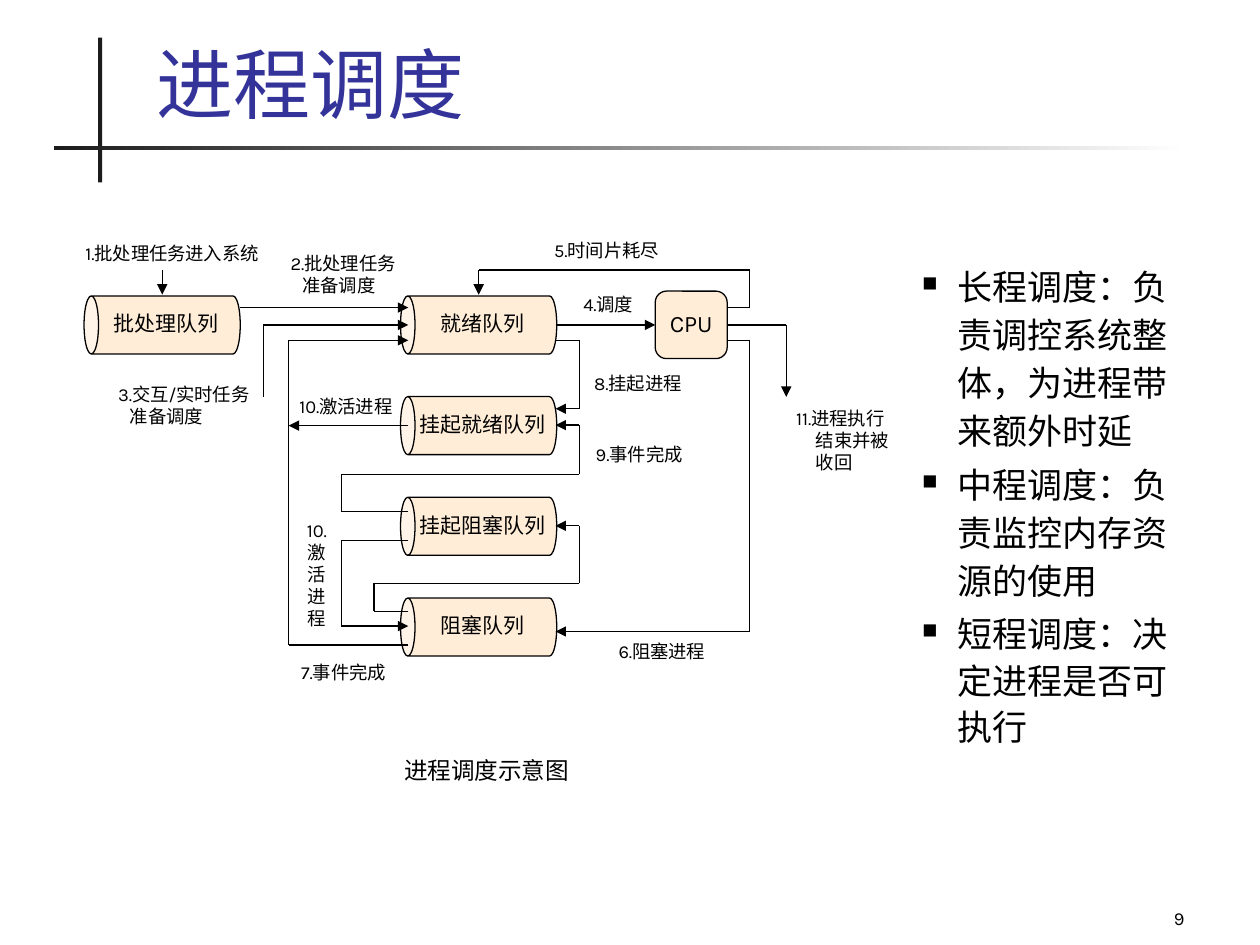
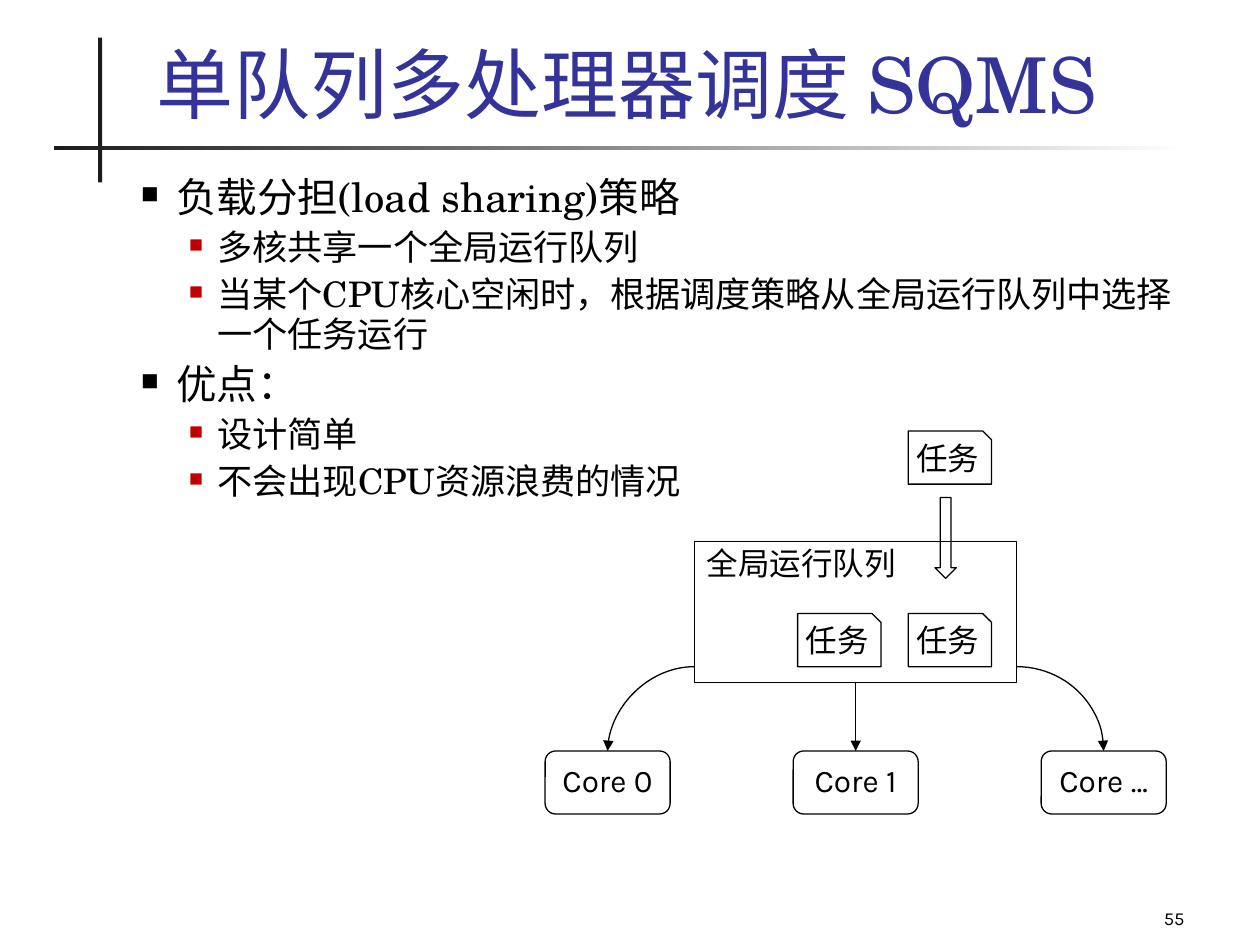
from itertools import pairwise

from lxml.etree import SubElement
from pptx import Presentation
from pptx.dml.color import RGBColor
from pptx.enum.shapes import MSO_CONNECTOR as LINE, MSO_SHAPE as SHAPE
from pptx.enum.text import MSO_ANCHOR as ANCHOR, PP_ALIGN as ALIGN
from pptx.oxml.ns import qn
from pptx.util import Cm, Pt

SANS, SERIF = "Karla", "TeX Gyre Schola"
BLACK, DARK, WHITE = "000000", "1C1C1C", "FFFFFF"
BLUE, RED, CREAM = "333399", "C00000", "FFEDD8"

LEVELS = [
    {"margin": 0.71, "hang": 0.71, "color": BLACK, "percent": 60},
    {"margin": 1.55, "hang": 0.58, "color": RED, "percent": 55},
]

TERMS = [
    (0, "长程调度：负责调控系统整体，为进程带来额外时延", 20, 1.14),
    (0, "中程调度：负责监控内存资源的使用", 20, 1.14),
    (0, "短程调度：决定进程是否可执行", 20, 1.1),
]
SQMS = [
    (0, "负载分担(load sharing)策略", 23.2, 0.94),
    (1, "多核共享一个全局运行队列", 20.1, 0.94),
    (1, "当某个CPU核心空闲时，根据调度策略从全局运行队列中选择一个任务运行", 20.1, 0.94),
    (0, "优点：", 23.2, 0.94),
    (1, "设计简单", 20.1, 0.94),
    (1, "不会出现CPU资源浪费的情况", 20.1, 0.94),
]

CAN_W, CAN_H = 1.17, 3.15
BATCH_X, QUEUE_X = 3.27, 9.65
READY_Y, QUEUE_STEP = 6.55, 2.03
QUEUES = ["就绪队列", "挂起就绪队列", "挂起阻塞队列", "阻塞队列"]
QUEUE_IN, QUEUE_OUT = 8.23, 11.2
CPU_BOX = (13.21, 5.87, 1.45, 1.36)
CPU_OUT = 14.66
UPPER, LOWER = 6.2, 6.86
BUS, LOOP, SIDE, RETURN = 5.82, 6.88, 11.68, 15.11

ROUTES = [
    [(BATCH_X, 5.44), (BATCH_X, 5.94)],
    [(4.83, UPPER), (QUEUE_IN, UPPER)],
    [(5.31, 8.0), (5.31, READY_Y), (QUEUE_IN, READY_Y)],
    [(QUEUE_IN, 13.0), (BUS, 13.0), (BUS, LOWER), (QUEUE_IN, LOWER)],
    [(QUEUE_IN, 8.58), (BUS, 8.58)],
    [(QUEUE_IN, 10.9), (LOOP, 10.9), (LOOP, 12.62), (QUEUE_IN, 12.62)],
    [(QUEUE_IN, 12.32), (7.54, 12.32), (7.54, 11.76), (SIDE, 11.76),
     (SIDE, 10.6), (QUEUE_OUT, 10.6)],
    [(QUEUE_IN, 10.31), (LOOP, 10.31), (LOOP, 9.56), (SIDE, 9.56),
     (SIDE, 8.57), (QUEUE_OUT, 8.57)],
    [(QUEUE_OUT, LOWER), (SIDE, LOWER), (SIDE, 8.24), (QUEUE_OUT, 8.24)],
    [(CPU_OUT, UPPER), (RETURN, UPPER), (RETURN, 5.44), (QUEUE_X, 5.44),
     (QUEUE_X, 5.94)],
    [(CPU_OUT, LOWER), (RETURN, LOWER), (RETURN, 12.73), (QUEUE_OUT, 12.73)],
]

LABELS = [
    (1.47, 4.75, 4.37, ["1.批处理任务进入系统"], 0, ALIGN.LEFT),
    (5.61, 4.95, 2.69, ["2.批处理任务", "准备调度"], 0.24, ALIGN.LEFT),
    (2.13, 7.59, 3.23, ["3.交互/实时任务", "准备调度"], 0.24, ALIGN.LEFT),
    (11.51, 5.79, 1.63, ["4.调度"], 0, ALIGN.LEFT),
    (10.92, 4.7, 2.77, ["5.时间片耗尽"], 0, ALIGN.LEFT),
    (12.22, 12.78, 2.44, ["6.阻塞进程"], 0, ALIGN.LEFT),
    (5.82, 13.21, 2.49, ["7.事件完成"], 0, ALIGN.LEFT),
    (11.73, 7.37, 2.57, ["8.挂起进程"], 0, ALIGN.LEFT),
    (11.76, 8.81, 2.44, ["9.事件完成"], 0, ALIGN.LEFT),
    (5.72, 7.85, 2.51, ["10.激活进程"], 0, ALIGN.CENTER),
    (5.82, 10.34, 1.14, ["10.", "激", "活", "进", "程"], 0, ALIGN.CENTER),
    (15.8, 8.08, 2.77, ["11.进程执行", "结束并被", "收回"], 0.4, ALIGN.LEFT),
]

CORES = ["Core 0", "Core 1", "Core …"]
CORE_X, CORE_Y, CORE_STEP, CORE_W, CORE_H = 10.99, 15.14, 5.0, 2.52, 1.27
RUN_QUEUE = (14.0, 10.92, 6.5, 2.84)
TASKS = [(16.08, 12.37), (18.31, 12.37), (18.31, 8.69)]
CURVE_Y = 13.44


def rgb(color):
    return RGBColor.from_string(color)


def cm(*values):
    return [Cm(v) for v in values]


def write(p, text, size, font=SANS, color=BLACK):
    r = p.add_run()
    r.text = text
    r.font.size, r.font.name = Pt(size), font
    r.font.color.rgb = rgb(color)


def add_text(slide, box, lines, size, font=SANS, color=BLACK,
             align=ALIGN.LEFT, anchor=ANCHOR.TOP, indent=0):
    tf = slide.shapes.add_textbox(*cm(*box)).text_frame
    tf.word_wrap, tf.vertical_anchor = True, anchor
    for i, line in enumerate(lines):
        p = tf.add_paragraph() if i else tf.paragraphs[0]
        p.alignment = align
        if i and indent:
            p._p.get_or_add_pPr().set("marL", str(Cm(indent)))
        write(p, line, size, font, color)


def add_bullets(slide, box, items):
    tf = slide.shapes.add_textbox(*cm(*box)).text_frame
    tf.word_wrap = True
    for i, (level, text, size, spacing) in enumerate(items):
        p = tf.add_paragraph() if i else tf.paragraphs[0]
        style = LEVELS[level]
        pPr = p._p.get_or_add_pPr()
        pPr.set("marL", str(Cm(style["margin"])))
        pPr.set("indent", str(-Cm(style["hang"])))
        clr = SubElement(pPr, qn("a:buClr"))
        SubElement(clr, qn("a:srgbClr"), val=style["color"])
        SubElement(pPr, qn("a:buSzPct"), val=str(style["percent"] * 1000))
        SubElement(pPr, qn("a:buChar"), char="■")
        p.level, p.line_spacing = level, spacing
        if i:
            p.space_before = Pt(size * 0.2)
        write(p, text, size, SERIF)


def add_shape(slide, kind, box, text="", size=18, fill=None,
              align=ALIGN.CENTER, anchor=ANCHOR.MIDDLE):
    sp = slide.shapes.add_shape(kind, *cm(*box))
    sp.shadow.inherit = False
    if fill:
        sp.fill.solid()
        sp.fill.fore_color.rgb = rgb(fill)
    else:
        sp.fill.background()
    sp.line.color.rgb, sp.line.width = rgb(BLACK), Pt(0.75)
    if text:
        tf = sp.text_frame
        tf.word_wrap, tf.vertical_anchor = False, anchor
        p = tf.paragraphs[0]
        p.alignment, p.line_spacing = align, 0.9
        write(p, text, size)
    return sp


def set_insets(sp):
    tf = sp.text_frame
    tf.margin_left = tf.margin_right = Cm(0.18)
    tf.margin_top = tf.margin_bottom = Cm(0.1)


def add_arrowhead(sp):
    ln = sp._element.spPr.find(qn("a:ln"))
    SubElement(ln, qn("a:tailEnd"), type="triangle")


def add_line(slide, start, end, arrow=True, kind=LINE.STRAIGHT):
    c = slide.shapes.add_connector(kind, *cm(*start, *end))
    c.line.color.rgb, c.line.width = rgb(BLACK), Pt(0.75)
    SubElement(c._element.spPr, qn("a:effectLst"))
    if arrow:
        add_arrowhead(c)
    return c


def add_route(slide, points):
    for start, end in pairwise(points):
        add_line(slide, start, end, arrow=end == points[-1])


def add_queue(slide, x, y, name):
    box = (x - CAN_W / 2, y - CAN_H / 2, CAN_W, CAN_H)
    sp = add_shape(slide, SHAPE.CAN, box, name, 12, CREAM)
    sp.rotation = 270
    set_insets(sp)
    sp.text_frame._txBody.bodyPr.set("vert", "vert")


def add_slide(prs, title, number):
    slide = prs.slides.add_slide(prs.slide_layouts[6])
    post = add_shape(slide, SHAPE.RECTANGLE, (1.98, 0.76, 0.08, 2.92), fill=DARK)
    rule = add_shape(slide, SHAPE.RECTANGLE, (1.09, 2.95, 22.86, 0.08))
    rule.fill.gradient()
    rule.fill.gradient_angle = 0
    for stop, color in zip(rule.fill.gradient_stops, (DARK, WHITE)):
        stop.color.rgb = rgb(color)
    for bar in (post, rule):
        bar.line.fill.background()
    add_text(slide, (2.9, 0.64, 21.82, 2.08), [title], 44, SERIF, BLUE,
             anchor=ANCHOR.BOTTOM)
    add_text(slide, (18.85, 17.58, 5.28, 1.27), [number], 10.5,
             align=ALIGN.RIGHT, anchor=ANCHOR.BOTTOM)
    return slide


def build_process_scheduling(prs):
    slide = add_slide(prs, "进程调度", "9")
    add_bullets(slide, (18.34, 5.11, 5.79, 10.21), TERMS)
    add_queue(slide, BATCH_X, READY_Y, "批处理队列")
    for i, name in enumerate(QUEUES):
        add_queue(slide, QUEUE_X, READY_Y + i * QUEUE_STEP, name)
    cpu = add_shape(slide, SHAPE.ROUNDED_RECTANGLE, CPU_BOX, "CPU", 13.5, CREAM)
    set_insets(cpu)
    for points in ROUTES:
        add_route(slide, points)
    dispatch = add_line(slide, (QUEUE_OUT, READY_Y), (CPU_BOX[0], READY_Y))
    dispatch.end_connect(cpu, 1)
    leave = add_line(slide, (CPU_OUT, READY_Y), (15.85, READY_Y), arrow=False)
    leave.begin_connect(cpu, 3)
    add_line(slide, (15.85, READY_Y), (15.85, 8.0))
    for left, top, width, lines, indent, align in LABELS:
        add_text(slide, (left, top, width, 0.71), lines, 10.5,
                 align=align, indent=indent)
    add_text(slide, (7.9, 15.11, 3.96, 0.84), ["进程调度示意图"], 13.5)


def build_single_queue(prs):
    slide = add_slide(prs, "单队列多处理器调度 SQMS", "55")
    add_bullets(slide, (2.59, 3.43, 21.59, 7.14), SQMS)
    cores = [add_shape(slide, SHAPE.ROUNDED_RECTANGLE,
                       (CORE_X + i * CORE_STEP, CORE_Y, CORE_W, CORE_H), name)
             for i, name in enumerate(CORES)]
    queue = add_shape(slide, SHAPE.RECTANGLE, RUN_QUEUE, "全局运行队列",
                      align=ALIGN.LEFT, anchor=ANCHOR.TOP)
    for x, y in TASKS:
        add_shape(slide, SHAPE.SNIP_1_RECTANGLE, (x, y, 1.68, 1.07), "任务")
    add_shape(slide, SHAPE.DOWN_ARROW, (18.85, 10.03, 0.43, 1.63))
    middle = CORE_X + CORE_STEP + CORE_W / 2
    down = add_line(slide, (middle, 13.76), (middle, CORE_Y))
    down.begin_connect(queue, 2)
    down.end_connect(cores[1], 0)
    curve = add_line(slide, (RUN_QUEUE[0], CURVE_Y),
                     (CORE_X + CORE_W / 2, CORE_Y), kind=LINE.CURVE)
    curve._element.spPr.find(qn("a:prstGeom")).set("prst", "curvedConnector2")
    add_arrowhead(add_shape(slide, SHAPE.ARC, (18.75, CURVE_Y, 3.5, 3.4)))


def main():
    prs = Presentation()
    prs.slide_width, prs.slide_height = cm(25.4, 19.05)
    build_process_scheduling(prs)
    build_single_queue(prs)
    prs.save("out.pptx")


if __name__ == "__main__":
    main()
